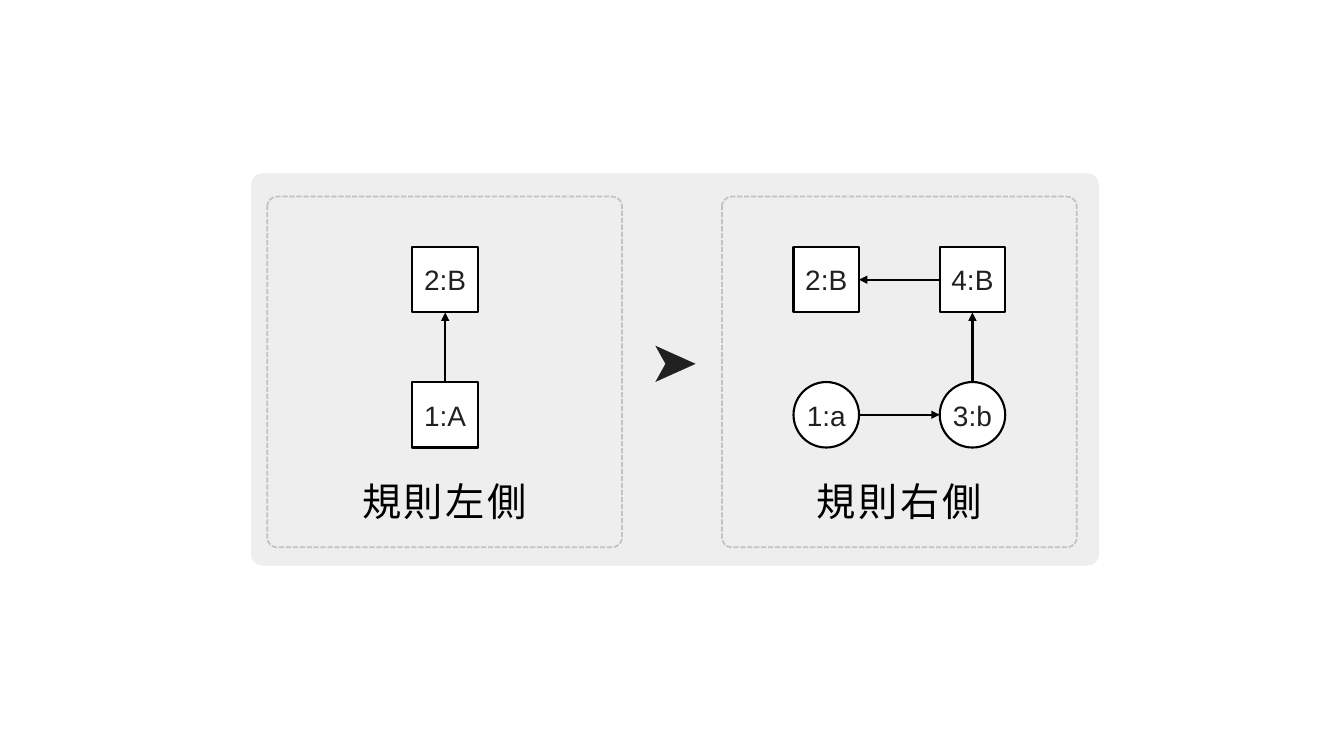
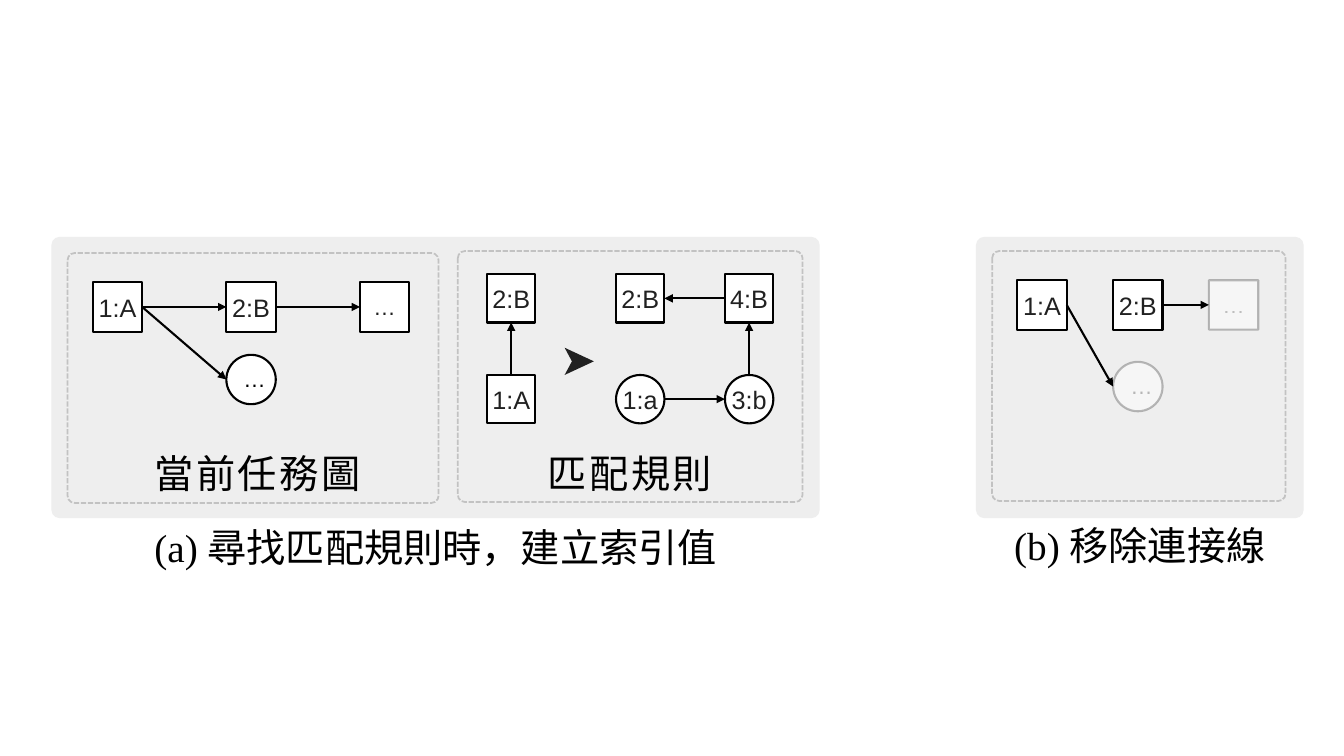
from pptx import Presentation
from pptx import util as u
from pptx.dml.color import RGBColor
from pptx.enum import dml, shapes, text
from pptx.oxml.ns import qn
from lxml import etree

COLORS = {"panel": "EEEEEE", "frame": "808080", "node": "FFFFFF",
          "ink": "000000", "label": "212121"}
LABEL_FONT, CAPTION_FONT, LATIN_FONT = "Arial", "Noto Sans CJK SC", "Times New Roman"
CORNER = 0.029
SIDES = {"top": (0.5, 0), "left": (0, 0.5), "bottom": (0.5, 1), "right": (1, 0.5)}

# Graphs: nodes are name: (label, column, row, shape); links are source, side, target, side
RULE_LEFT = {
    "nodes": {"B2": ("2:B", 0, 0, "box"), "A1": ("1:A", 0, 1, "box")},
    "links": [("A1", "top", "B2", "bottom")],
}
RULE_RIGHT = {
    "nodes": {"B2": ("2:B", 0, 0, "box"), "B4": ("4:B", 1, 0, "box"),
              "a1": ("1:a", 0, 1, "circle"), "b3": ("3:b", 1, 1, "circle")},
    "links": [("a1", "right", "b3", "left"), ("b3", "top", "B4", "bottom"),
              ("B4", "left", "B2", "right")],
}
TASK_NODES = {"A1": ("1:A", 0, 0, "box"), "B2": ("2:B", 1, 0, "box"),
              "next": ("…", 2, 0, "box"), "branch": ("…", 1, 1, "circle")}
TASK_LINKS = [("B2", "right", "next", "left"), ("A1", "right", "branch", "left")]
TASK = {"nodes": TASK_NODES, "links": TASK_LINKS + [("A1", "right", "B2", "left")]}
UNLINKED_TASK = {"nodes": TASK_NODES, "links": TASK_LINKS, "faded": ("next", "branch")}

# Slides: boxes are left, top, width, height; a graph is content, origin, step, node size, points
SLIDES = [
    {
        "panels": [(2.49, 1.72, 8.41, 3.89)],
        "frames": [(2.65, 1.95, 3.52, 3.48), (7.16, 1.95, 3.52, 3.48)],
        "graphs": [(RULE_LEFT, (4.09, 2.45), (0, 1.34), 0.65, 20),
                   (RULE_RIGHT, (7.87, 2.45), (1.45, 1.34), 0.65, 20)],
        "pointer": (6.5, 3.43, 0.4, 0.36),
        "names": [("規則左側", (3.06, 4.69, 2.7, 0.72), "TOP"),
                  ("規則右側", (7.57, 4.69, 2.7, 0.72), "TOP")],
        "captions": [],
    },
    {
        "panels": [(0.51, 2.35, 7.62, 2.79), (9.68, 2.35, 3.25, 2.79)],
        "frames": [(0.67, 2.51, 3.68, 2.48), (4.54, 2.49, 3.42, 2.49),
                   (9.84, 2.49, 2.91, 2.48)],
        "graphs": [(TASK, (0.92, 2.8), (1.325, 0.72), 0.49, 18),
                   (RULE_LEFT, (4.83, 2.72), (0, 1), 0.48, 18),
                   (RULE_RIGHT, (6.11, 2.72), (1.08, 1), 0.48, 18),
                   (UNLINKED_TASK, (10.09, 2.78), (0.95, 0.81), 0.49, 18)],
        "pointer": (5.6, 3.45, 0.29, 0.27),
        "names": [("當前任務圖", (1.18, 4.41, 2.75, 0.57), "MIDDLE"),
                  ("匹配規則", (4.87, 4.41, 2.75, 0.57), "MIDDLE")],
        "captions": [("(a) ", "尋找匹配規則時，建立索引值", (0.51, 5.14, 7.62, 0.57)),
                     ("(b) ", "移除連接線", (9.68, 5.12, 3.25, 0.57))],
    },
]


def inches(values):
    return [u.Inches(value) for value in values]


def paint(fill, color, opacity=100):
    fill.solid()
    fill.fore_color.rgb = RGBColor.from_string(COLORS[color])
    if opacity < 100:
        tint = fill._xPr.find(qn("a:solidFill"))[0]
        etree.SubElement(tint, qn("a:alpha")).set("val", str(opacity * 1000))


def add_rounded(page, place):
    shape = page.shapes.add_shape(shapes.MSO_SHAPE.ROUNDED_RECTANGLE, *inches(place))
    shape.adjustments[0] = CORNER
    shape.shadow.inherit = False
    return shape


def add_panel(page, place):
    panel = add_rounded(page, place)
    paint(panel.fill, "panel")
    panel.line.fill.background()


def add_frame(page, place):
    frame = add_rounded(page, place)
    frame.fill.background()
    paint(frame.line.fill, "frame", 40)
    frame.line.width = u.Pt(1.25)
    frame.line.dash_style = dml.MSO_LINE.SQUARE_DOT


def add_node(page, label, kind, place, points, faded):
    preset = shapes.MSO_SHAPE.OVAL if kind == "circle" else shapes.MSO_SHAPE.RECTANGLE
    node = page.shapes.add_shape(preset, *inches(place))
    node.shadow.inherit = False
    paint(node.fill, "node", 50 if faded else 100)
    paint(node.line.fill, "ink", 25 if faded else 100)
    node.line.width = u.Pt(1.5)

    frame = node.text_frame
    frame.vertical_anchor = text.MSO_ANCHOR.MIDDLE
    dots = label == "…"
    frame.word_wrap = dots
    if not dots:
        frame.margin_left = frame.margin_right = frame.margin_top = frame.margin_bottom = 0
    elif kind == "circle":
        frame.margin_top = u.Inches(0.02)
    para = frame.paragraphs[0]
    para.text = label
    para.alignment = text.PP_ALIGN.CENTER
    para.font.name = LABEL_FONT
    para.font.size = u.Pt(16 if dots else points)
    color = "ink" if dots and kind == "circle" else "label"
    paint(para.font.fill, color, 25 if faded else 100)


def add_arrow(page, start, end):
    arrow = page.shapes.add_connector(shapes.MSO_CONNECTOR.STRAIGHT, *inches(start + end))
    paint(arrow.line.fill, "ink")
    arrow.line.width = u.Pt(1.5)
    etree.SubElement(arrow.line._get_or_add_ln(), qn("a:tailEnd")).set("type", "triangle")
    etree.SubElement(arrow._element.spPr, qn("a:effectLst"))


def add_graph(page, graph, origin, step, size, points):
    corners = {}
    for name, (label, column, row, kind) in graph["nodes"].items():
        corner = (origin[0] + column * step[0], origin[1] + row * step[1])
        corners[name] = corner
        add_node(page, label, kind, corner + (size, size), points,
                 name in graph.get("faded", ()))

    def port(name, side):
        return tuple(edge + share * size for edge, share in zip(corners[name], SIDES[side]))

    for source, leave, target, enter in graph["links"]:
        add_arrow(page, port(source, leave), port(target, enter))


def add_pointer(page, place):
    left, top, width, height = inches(place)
    middle = top + height // 2
    builder = page.shapes.build_freeform(left, top)
    builder.add_line_segments([(left + width, middle), (left, top + height),
                               (left + width // 4, middle)], close=True)
    pointer = builder.convert_to_shape()
    pointer.shadow.inherit = False
    paint(pointer.fill, "label")
    pointer.line.fill.background()


def add_caption(page, spans, place, anchor="TOP", spacing=0):
    box = page.shapes.add_textbox(*inches(place))
    frame = box.text_frame
    frame.word_wrap = True
    frame.auto_size = text.MSO_AUTO_SIZE.SHAPE_TO_FIT_TEXT
    frame.vertical_anchor = text.MSO_ANCHOR[anchor]
    para = frame.paragraphs[0]
    para.alignment = text.PP_ALIGN.CENTER
    para.font.size = u.Pt(28)
    paint(para.font.fill, "ink")
    for words, font in spans:
        span = para.add_run()
        span.text = words
        span.font.name = font
        look = span._r.get_or_add_rPr()
        etree.SubElement(look, qn("a:ea")).set("typeface", font)
        if spacing:
            look.set("spc", str(spacing * 100))


def main():
    deck = Presentation()
    deck.slide_width, deck.slide_height = u.Inches(13.33), u.Inches(7.5)
    for content in SLIDES:
        page = deck.slides.add_slide(deck.slide_layouts[6])
        for place in content["panels"]:
            add_panel(page, place)
        for place in content["frames"]:
            add_frame(page, place)
        for graph in content["graphs"]:
            add_graph(page, *graph)
        add_pointer(page, content["pointer"])
        for name, place, anchor in content["names"]:
            add_caption(page, [(name, CAPTION_FONT)], place, anchor, spacing=2)
        for mark, words, place in content["captions"]:
            add_caption(page, [(mark, LATIN_FONT), (words, CAPTION_FONT)], place)
    deck.save("out.pptx")


if __name__ == "__main__":
    main()
